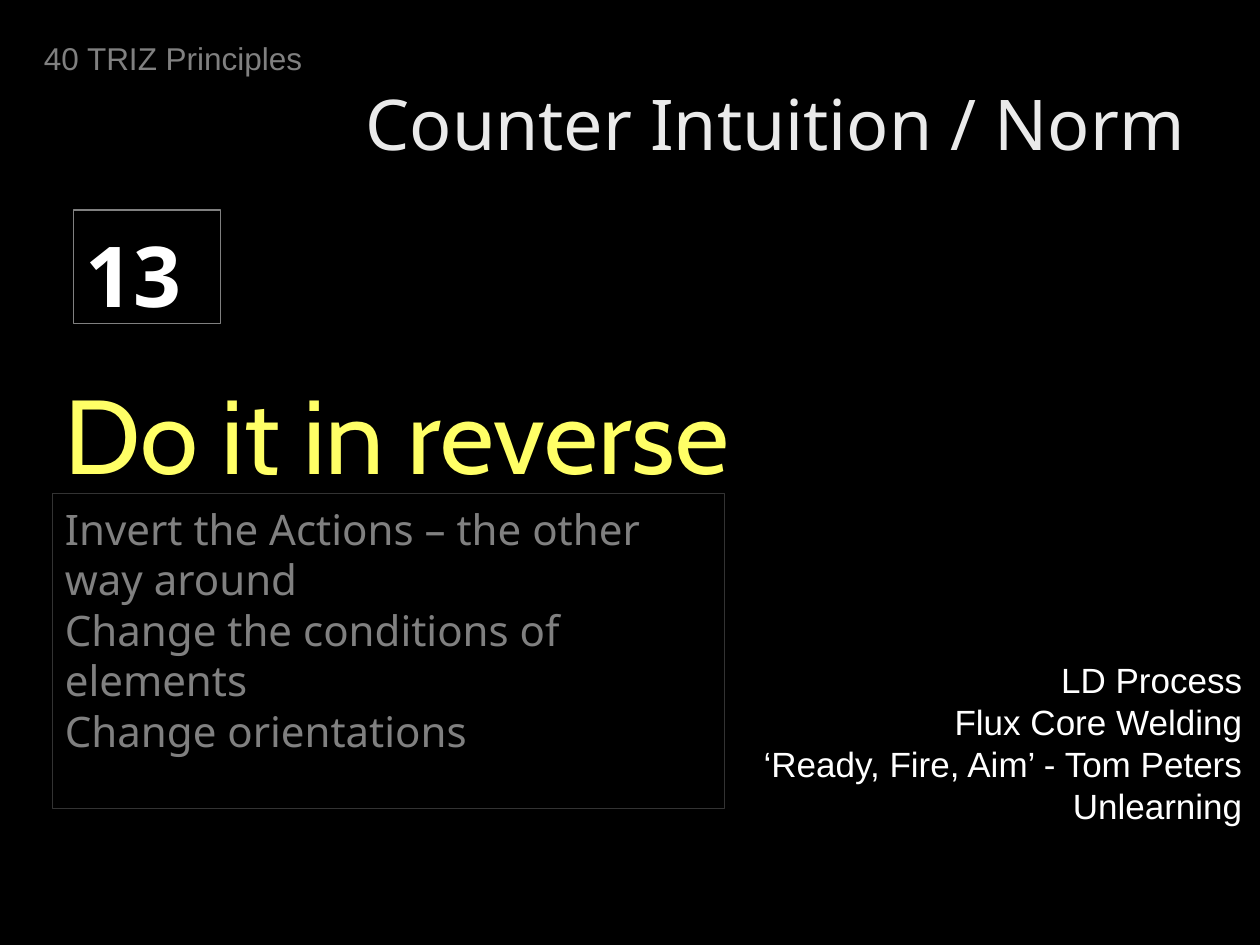
from dataclasses import dataclass

from pptx import Presentation
from pptx.dml.color import RGBColor
from pptx.enum.shapes import MSO_SHAPE
from pptx.enum.text import MSO_ANCHOR, PP_ALIGN
from pptx.util import Inches, Pt

COLORS = {
    "background": "000000",
    "title": "EAEAEA",
    "muted": "808080",
    "headline": "FFFF66",
    "white": "FFFFFF",
    "faint": "333333",
}
CELL = 1 / 12  # grid step in inches: 120 columns by 90 rows
LINE_HEIGHT = 1.2


@dataclass(frozen=True)
class TextBlock:
    col: float
    row: float
    cols: float
    rows: float
    lines: tuple[str, ...]
    font: str
    size: int
    color: str
    top_inset: float = 0.06
    border: str | None = None
    bold: bool = False
    align: PP_ALIGN = PP_ALIGN.LEFT
    anchor: MSO_ANCHOR = MSO_ANCHOR.TOP


BLOCKS = (
    TextBlock(26, 3.6, 88, 15, ("Counter Intuition / Norm",), "Noto Sans", 40,
              "title", 0.15, align=PP_ALIGN.RIGHT, anchor=MSO_ANCHOR.MIDDLE),
    TextBlock(3, 3, 30, 4.8, ("40 TRIZ Principles",), "Arial", 18, "muted"),
    TextBlock(5, 34, 99, 13.2, ("Do it in reverse",), "Cabin", 60, "headline", 0.1),
    TextBlock(70, 62, 49.5, 25.2,
              ("LD Process", "Flux Core Welding",
               "‘Ready, Fire, Aim’ - Tom Peters", "Unlearning"),
              "Arial", 20, "white", align=PP_ALIGN.RIGHT),
    TextBlock(5, 47, 64, 30,
              ("Invert the Actions – the other way around",
               "Change the conditions of elements", "Change orientations"),
              "Noto Sans", 24, "muted", 0.08, border="faint"),
    TextBlock(7, 20, 14, 10.8, ("13",), "Noto Sans", 48, "white", 0.11,
              border="muted", bold=True),
)


def rgb(name: str) -> RGBColor:
    return RGBColor.from_string(COLORS[name])


def draw_block(s, block: TextBlock) -> None:
    box = [Inches(n * CELL) for n in (block.col, block.row, block.cols, block.rows)]
    if block.border:
        sp = s.shapes.add_shape(MSO_SHAPE.RECTANGLE, *box)
        sp.shadow.inherit = False
        sp.fill.background()
        sp.line.color.rgb = rgb(block.border)
        sp.line.width = Pt(0.75)
    else:
        sp = s.shapes.add_textbox(*box)

    tf = sp.text_frame
    tf.word_wrap = True
    tf.vertical_anchor = block.anchor
    tf.margin_left = tf.margin_right = Inches(0.1)
    tf.margin_top = Inches(block.top_inset)
    tf.margin_bottom = Inches(0.05)
    tf.text = "\n".join(block.lines)
    for p in tf.paragraphs:
        p.alignment = block.align
        p.line_spacing = Pt(block.size * LINE_HEIGHT)
        p.font.name = block.font
        p.font.size = Pt(block.size)
        p.font.bold = block.bold
        p.font.color.rgb = rgb(block.color)


def main() -> None:
    prs = Presentation()
    prs.slide_width, prs.slide_height = Inches(10), Inches(7.5)
    s = prs.slides.add_slide(prs.slide_layouts[6])
    s.background.fill.solid()
    s.background.fill.fore_color.rgb = rgb("background")
    for block in BLOCKS:
        draw_block(s, block)
    prs.save("out.pptx")


if __name__ == "__main__":
    main()
